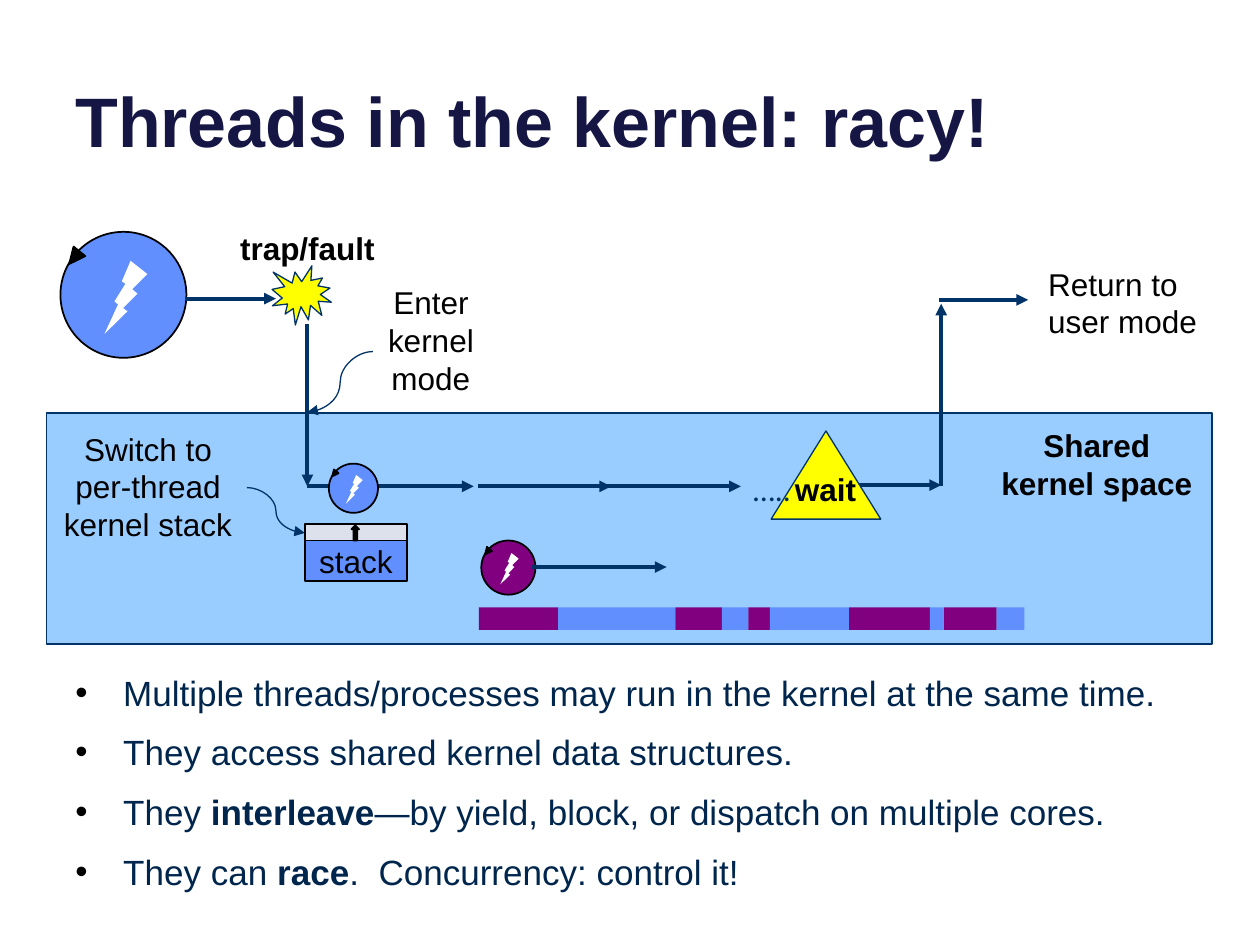
import itertools

import pptx
import pptx.dml.color
import pptx.enum.shapes
import pptx.enum.text
import pptx.oxml
import pptx.oxml.ns
import pptx.util

Inches = pptx.util.Inches
Pt = pptx.util.Pt
KIND = pptx.enum.shapes.MSO_SHAPE
LINK = pptx.enum.shapes.MSO_CONNECTOR
ANCHOR = pptx.enum.text.MSO_ANCHOR
ALIGN = pptx.enum.text.PP_ALIGN

BLACK, WHITE, YELLOW = "000000", "FFFFFF", "FFFF00"
NAVY, BLUE, PURPLE = "003367", "618FFD", "800080"


def tint(fmt, code):
    fmt.rgb = pptx.dml.color.RGBColor.from_string(code)


def node(parent, tag, **attrs):
    item = pptx.oxml.parse_xml(f"<a:{tag} {pptx.oxml.ns.nsdecls('a')}/>")
    for key, value in attrs.items():
        item.set(key, value)
    parent.append(item)
    return item


def add_run(para, text, size, color, bold=False, font="Arial"):
    run = para.add_run()
    run.text = text
    run.font.name, run.font.size, run.font.bold = font, Pt(size), bold
    tint(run.font.color, color)


def add_text(slide, box, text, size=18, color=BLACK, bold=False,
             align=ALIGN.LEFT, wrap=True, font="Arial", anchor=ANCHOR.TOP):
    frame = slide.shapes.add_textbox(*map(Inches, box)).text_frame
    frame.word_wrap, frame.vertical_anchor = wrap, anchor
    para = frame.paragraphs[0]
    para.alignment = align
    add_run(para, text, size, color, bold, font)


def add_shape(shapes, kind, box, fill, line=None, width=1, turn=0):
    shape = shapes.add_shape(kind, *map(Inches, box))
    shape.shadow.inherit = False
    shape.rotation = turn
    shape.fill.solid()
    tint(shape.fill.fore_color, fill)
    if line:
        tint(shape.line.color, line)
        shape.line.width = Pt(width)
    else:
        shape.line.fill.background()
    return shape


def add_arrow(slide, start, end, kind=LINK.STRAIGHT, width=2.25):
    arrow = slide.shapes.add_connector(kind, *map(Inches, start + end))
    tint(arrow.line.color, NAVY)
    arrow.line.width = Pt(width)
    node(arrow.line._get_or_add_ln(), "tailEnd", type="triangle")
    node(arrow._element.spPr, "effectLst")


def add_thread(slide, x, y, size, fill):
    """A circle with a bolt and an arrowhead, scaled to its diameter."""
    shapes = slide.shapes.add_group_shape().shapes

    def place(left, top, width, height):
        return x + left * size, y + top * size, width * size, height * size

    add_shape(shapes, KIND.OVAL, place(0, 0, 1, 1), fill, BLACK)
    bolt = add_shape(shapes, KIND.LIGHTNING_BOLT,
                     place(0.35, 0.23, 0.34, 0.58), WHITE)
    bolt._element.spPr.get_or_add_xfrm().set("flipH", "1")
    add_shape(shapes, KIND.ISOSCELES_TRIANGLE,
              place(0.05, 0.14, 0.12, 0.13), BLACK, BLACK, turn=219)


def add_stack(slide):
    shapes = slide.shapes.add_group_shape().shapes
    add_shape(shapes, KIND.FLOWCHART_PROCESS, (2.42, 4.16, 0.81, 0.13),
              "DDE1EB", BLACK)
    base = add_shape(shapes, KIND.FLOWCHART_PROCESS, (2.42, 4.29, 0.81, 0.32),
                     BLUE, BLACK)
    frame = base.text_frame
    frame.word_wrap, frame.vertical_anchor = False, ANCHOR.MIDDLE
    frame.paragraphs[0].alignment = ALIGN.CENTER
    add_run(frame.paragraphs[0], "stack", 18, BLACK)
    add_shape(shapes, KIND.UP_ARROW, (2.79, 4.17, 0.06, 0.12), BLACK, BLACK)


def add_bar(slide, edges):
    """Segments that alternate between the two threads."""
    shapes = slide.shapes.add_group_shape().shapes
    spans = zip(edges, edges[1:])
    for (left, right), fill in zip(spans, itertools.cycle((PURPLE, BLUE))):
        add_shape(shapes, KIND.RECTANGLE,
                  (left, 4.82, right - left, 0.18), fill)


def add_bullets(slide, box, items):
    frame = slide.shapes.add_textbox(*map(Inches, box)).text_frame
    frame.word_wrap = True
    for index, parts in enumerate(items):
        para = frame.add_paragraph() if index else frame.paragraphs[0]
        props = para._p.get_or_add_pPr()
        props.set("marL", str(Inches(0.38)))
        props.set("indent", str(-Inches(0.38)))
        node(node(props, "buClr"), "srgbClr", val=BLACK)
        node(props, "buFont", typeface="Arial")
        node(props, "buChar", char="•")
        para.space_before = Pt(10 if index else 0)
        for place, text in enumerate(parts):
            add_run(para, text, 20, "00264D", bold=place == 1)


def main():
    deck = pptx.Presentation()
    deck.slide_width, deck.slide_height = Inches(10), Inches(7.5)
    slide = deck.slides.add_slide(deck.slide_layouts[6])
    shapes = slide.shapes

    # Title and bullets
    add_text(slide, (0.5, -0.37, 9, 1.7), "Threads in the kernel: racy!",
             40, "161645", True, anchor=ANCHOR.BOTTOM)
    add_bullets(slide, (0.5, 5.28, 9, 0.97), [
        ["Multiple threads/processes may run in the kernel at the same time."],
        ["They access shared kernel data structures."],
        ["They ", "interleave",
         "—by yield, block, or dispatch on multiple cores."],
        ["They can ", "race", ".  Concurrency: control it!"],
    ])

    # User thread, kernel area and trap
    add_thread(slide, 0.48, 1.84, 1, BLUE)
    add_shape(shapes, KIND.FLOWCHART_PROCESS, (0.37, 3.28, 9.25, 1.83),
              "99CCFF", NAVY)
    add_shape(shapes, KIND.EXPLOSION1, (2.16, 2.11, 0.47, 0.47),
              YELLOW, NAVY, 0.75)

    # Path through the kernel
    for start, end in [
        ((1.48, 2.37), (2.19, 2.37)),
        ((2.44, 2.57), (2.44, 3.86)),
        ((2.44, 3.86), (3.76, 3.86)),
        ((3.79, 3.86), (4.85, 3.86)),
        ((4.81, 3.86), (5.88, 3.86)),
        ((6.56, 3.85), (7.47, 3.85)),
        ((7.47, 3.86), (7.47, 2.41)),
        ((7.45, 2.38), (8.16, 2.38)),
    ]:
        add_arrow(slide, start, end)

    # Kernel threads, stack and wait
    add_thread(slide, 2.61, 3.68, 0.39, BLUE)
    add_thread(slide, 3.82, 4.29, 0.43, PURPLE)
    add_arrow(slide, (4.22, 4.5), (5.29, 4.5))
    add_stack(slide)
    add_shape(shapes, KIND.FLOWCHART_MERGE, (6.12, 3.42, 0.87, 0.7),
              YELLOW, NAVY, 0.75, turn=180)
    add_text(slide, (6.21, 3.68, 0.69, 0.4), "wait", bold=True, wrap=False)
    add_text(slide, (5.88, 3.68, 0.5, 0.4), "…..", color=NAVY, wrap=False,
             font="Calibri")

    # Labels and their pointers
    for box, text, bold in [
        ((1.64, 1.77, 1.6, 0.41), "trap/fault", True),
        ((2.74, 2.2, 1.36, 1.01), "Enter kernel mode", False),
        ((7.79, 3.33, 1.83, 0.71), "Shared kernel space", True),
        ((0.39, 3.36, 1.57, 1.01), "Switch to per-thread kernel stack", False),
    ]:
        add_text(slide, box, text, bold=bold, align=ALIGN.CENTER)
    add_text(slide, (8.22, 2.05, 1.6, 0.71), "Return to user mode")
    add_arrow(slide, (2.96, 2.79), (2.44, 3.27), LINK.CURVE, 0.75)
    add_arrow(slide, (1.96, 3.87), (2.42, 4.23), LINK.CURVE, 0.75)

    # Interleaving of the two threads
    add_bar(slide, [3.8, 4.43, 5.36, 5.73, 5.94, 6.11, 6.74, 7.38, 7.49,
                    7.91, 8.13])

    deck.save("out.pptx")


if __name__ == "__main__":
    main()
